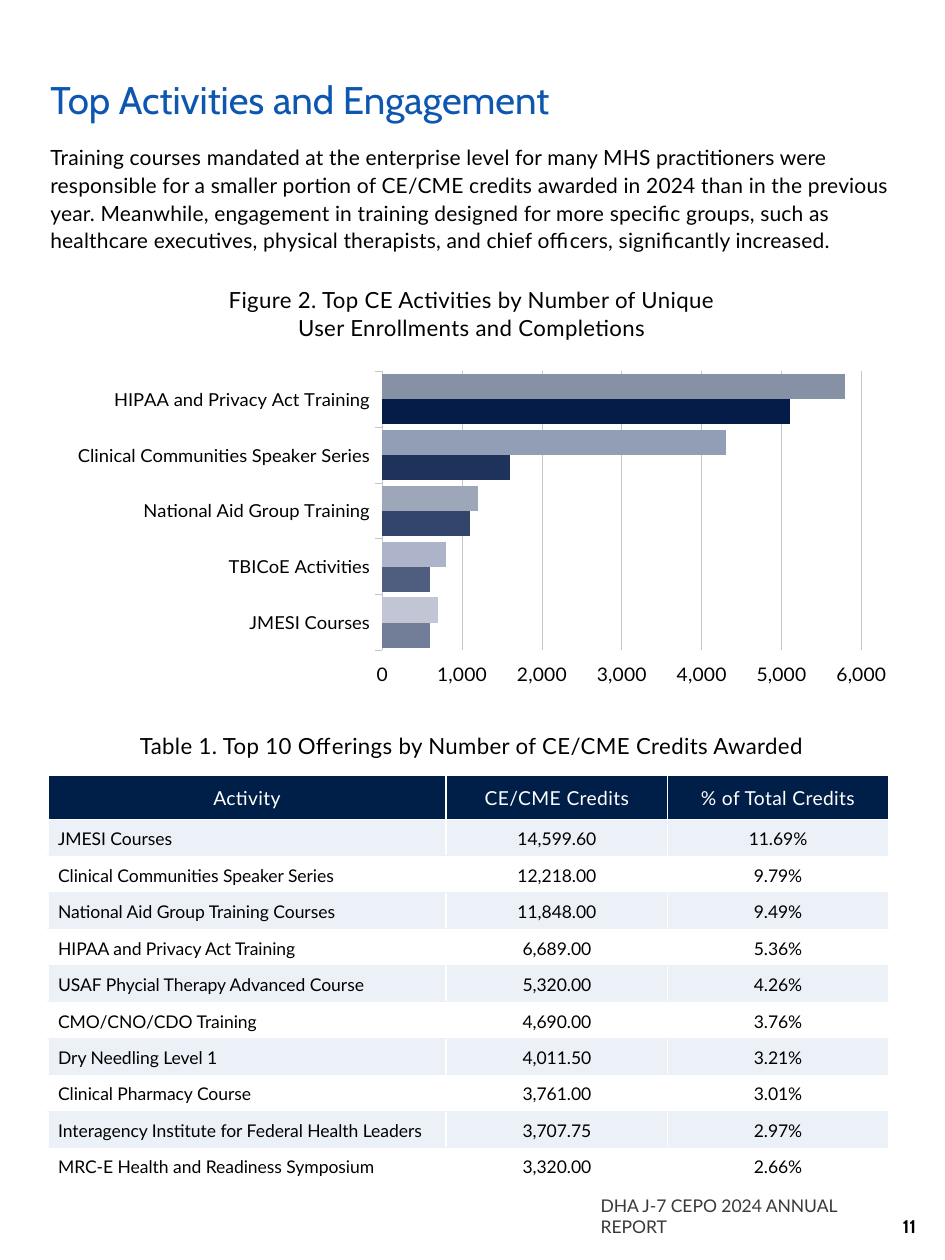
from lxml.etree import SubElement as Sub
from pptx import Presentation
from pptx.chart.data import CategoryChartData as ChartData
from pptx.dml.color import RGBColor as RGB
from pptx.enum.chart import XL_CHART_TYPE as Kind, XL_TICK_MARK as Tick
from pptx.enum.text import MSO_ANCHOR as Anchor, MSO_AUTO_SIZE as Auto, PP_ALIGN as Align
from pptx.oxml.ns import qn
from pptx.util import Pt

HUES = {
    "blue": "0D57B0", "navy": "001F48", "black": "000000", "gray": "3B3838",
    "white": "FFFFFF", "band": "ECF1F8", "rule": "C6C6C6",
    "dark": "051C48", "light": "BFC6D4",
}
# Bar shades, from the lowest category up
DARKS = ["727E97", "4F5E7E", "33456A", "1E335B"]
LIGHTS = ["C2C6D4", "ADB3C9", "9DA7B9", "919EB5", "8791A5"]

INTRO = (
    "Training courses mandated at the enterprise level for many MHS practitioners were "
    "responsible for a smaller portion of CE/CME credits awarded in 2024 than in the previous "
    "year. Meanwhile, engagement in training designed for more specific groups, such as "
    "healthcare executives, physical therapists, and chief officers, significantly increased."
)
BARS = [
    ("JMESI Courses", 600, 700),
    ("TBICoE Activities", 600, 800),
    ("National Aid Group Training", 1100, 1200),
    ("Clinical Communities Speaker Series", 1600, 4300),
    ("HIPAA and Privacy Act Training", 5100, 5800),
]
ROWS = [
    ("Activity", "CE/CME Credits", "% of Total Credits"),
    ("JMESI Courses", "14,599.60", "11.69%"),
    ("Clinical Communities Speaker Series", "12,218.00", "9.79%"),
    ("National Aid Group Training Courses", "11,848.00", "9.49%"),
    ("HIPAA and Privacy Act Training", "6,689.00", "5.36%"),
    ("USAF Phycial Therapy Advanced Course", "5,320.00", "4.26%"),
    ("CMO/CNO/CDO Training", "4,690.00", "3.76%"),
    ("Dry Needling Level 1", "4,011.50", "3.21%"),
    ("Clinical Pharmacy Course", "3,761.00", "3.01%"),
    ("Interagency Institute for Federal Health Leaders", "3,707.75", "2.97%"),
    ("MRC-E Health and Readiness Symposium", "3,320.00", "2.66%"),
]
COLS = [227.5, 126.7, 126]
HEAD, ROW = 25.4, 20.86


def hue(name):
    return RGB.from_string(HUES.get(name, name))


def apply(item, **vals):
    for key, val in vals.items():
        setattr(item, key, val)


def style(font, size, color="black", name="Lato", bold=False):
    apply(font, size=Pt(size), name=name, bold=bold)
    font.color.rgb = hue(color)


def paint(shape, color):
    shape.fill.solid()
    shape.fill.fore_color.rgb = hue(color)


def write(frame, text, size, gap=0, align=Align.LEFT, lead=None, **look):
    """Fill a frame with one paragraph; gap is the letter spacing."""
    para = frame.paragraphs[0]
    para.text = text
    apply(para, alignment=align, line_spacing=lead)
    for run in para.runs:
        style(run.font, size, **look)
        if gap:
            run._r.get_or_add_rPr().set("spc", str(round(gap * 100)))


def label(slide, box, text, size, side=7.2, edge=3.6, anchor=Anchor.TOP,
          fit=Auto.NONE, **look):
    frame = slide.shapes.add_textbox(*map(Pt, box)).text_frame
    apply(frame, word_wrap=True, auto_size=fit, vertical_anchor=anchor,
          margin_left=Pt(side), margin_right=Pt(side),
          margin_top=Pt(edge), margin_bottom=Pt(edge))
    write(frame, text, size, **look)


def caption(slide, top, high, text, lead):
    label(slide, (29.5, top, 480.2, high), text, 12.7, gap=0.2, lead=lead,
          align=Align.CENTER, fit=Auto.SHAPE_TO_FIT_TEXT)


def rule(line):
    line.color.rgb = hue("rule")
    line.width = Pt(0.5)


def place(chart, **spots):
    """Fix the inner plot area as fractions of the chart."""
    area = chart._chartSpace.chart.plotArea
    for old in area.findall(qn("c:layout")):
        area.remove(old)
    lay = area.makeelement(qn("c:layout"))
    area.insert(0, lay)
    man = Sub(lay, qn("c:manualLayout"))
    modes = {"layoutTarget": "inner", "xMode": "edge", "yMode": "edge"}
    for key, val in {**modes, **spots}.items():
        Sub(man, qn("c:" + key)).set("val", str(val))


def add_bars(slide):
    names, done, began = zip(*BARS)
    data = ChartData(number_format="#,##0")
    data.categories = names
    data.add_series("Series 1", done)
    data.add_series("Series 2", began)
    box = map(Pt, (27.4, 195.1, 483.8, 196.6))
    chart = slide.shapes.add_chart(Kind.BAR_CLUSTERED, *box, data).chart
    apply(chart, has_legend=False, has_title=False)
    style(chart.font, 10)
    plot = chart.plots[0]
    apply(plot, gap_width=22, overlap=0, vary_by_categories=False)
    for series, base, tints in zip(plot.series, ("dark", "light"), (DARKS, LIGHTS)):
        paint(series.format, base)
        for i, tint in enumerate(tints):
            paint(series.points[i].format, tint)

    # Axes
    cats, nums = chart.category_axis, chart.value_axis
    for axis, size in ((cats, 10.5), (nums, 11)):
        apply(axis, major_tick_mark=Tick.OUTSIDE, minor_tick_mark=Tick.NONE)
        style(axis.tick_labels.font, size)
    rule(cats.format.line)
    apply(nums, minimum_scale=0, maximum_scale=6000, major_unit=1000,
          has_major_gridlines=True)
    apply(nums.tick_labels, number_format="#,##0", number_format_is_linked=False)
    nums.format.line.fill.background()
    rule(nums.major_gridlines.format.line)
    place(chart, x=0.395, y=0.09, w=0.566, h=0.837)


def border(cell, side, color, width):
    line = Sub(cell._tc.get_or_add_tcPr(), qn("a:ln" + side), w=str(Pt(width)))
    Sub(Sub(line, qn("a:solidFill")), qn("a:srgbClr"), val=HUES[color])


def add_grid(slide):
    high = HEAD + ROW * (len(ROWS) - 1)
    box = map(Pt, (27.4, 442.8, sum(COLS), high))
    grid = slide.shapes.add_table(len(ROWS), len(COLS), *box).table
    grid.horz_banding = False
    for col, wide in zip(grid.columns, COLS):
        col.width = Pt(wide)
    for r, texts in enumerate(ROWS):
        grid.rows[r].height = Pt(ROW if r else HEAD)
        for c, text in enumerate(texts):
            fill_cell(grid.cell(r, c), r, c, text)


def fill_cell(cell, r, c, text):
    # White rules between columns and under the header, thin tinted ones below
    white, thin = ("white", 1), ("band", 0.5)
    if c:
        border(cell, "L", *white)
    if c < len(COLS) - 1:
        border(cell, "R", *white)
    if r:
        border(cell, "T", *(white if r == 1 else thin))
    if r < len(ROWS) - 1:
        border(cell, "B", *(thin if r else white))
    paint(cell, ("white", "band")[r % 2] if r else "navy")
    side, top, foot = (5.8, 3.6, 3.6) if r else (5, 1.4, 0)
    apply(cell, margin_left=Pt(side), margin_right=Pt(side), margin_top=Pt(top),
          margin_bottom=Pt(foot), vertical_anchor=Anchor.BOTTOM if r else Anchor.MIDDLE)
    write(cell.text_frame, text, 10 if r else 11, gap=0 if r else 0.2,
          color="black" if r else "white",
          align=Align.LEFT if r and not c else Align.CENTER)


def main():
    deck = Presentation()
    apply(deck, slide_width=Pt(540), slide_height=Pt(720))
    slide = deck.slides.add_slide(deck.slide_layouts[6])

    # Footer and page number
    label(slide, (336.2, 674.6, 182.9, 36), "DHA J-7 CEPO 2024 ANNUAL REPORT", 10,
          anchor=Anchor.BOTTOM, color="gray")
    label(slide, (461.5, 674.6, 69.1, 36), "11", 10.5, anchor=Anchor.BOTTOM,
          align=Align.RIGHT, name="Cabin", bold=True)

    # Title and intro
    label(slide, (0, 39.6, 540, 37.4), "Top Activities and Engagement", 22, side=28.8,
          anchor=Anchor.MIDDLE, lead=0.9, color="blue", name="Cabin")
    label(slide, (0, 74.2, 540, 117.4), INTRO, 12, side=28.8, edge=7.2, gap=0.1, lead=1.1)

    # Figure
    caption(slide, 159.1, 38.2,
            "Figure 2. Top CE Activities by Number of Unique\vUser Enrollments and Completions",
            1.05)
    add_bars(slide)

    # Table
    caption(slide, 411.8, 23.8,
            "Table 1. Top 10 Offerings by Number of CE/CME Credits Awarded", 1.2)
    add_grid(slide)
    deck.save("out.pptx")


if __name__ == "__main__":
    main()
